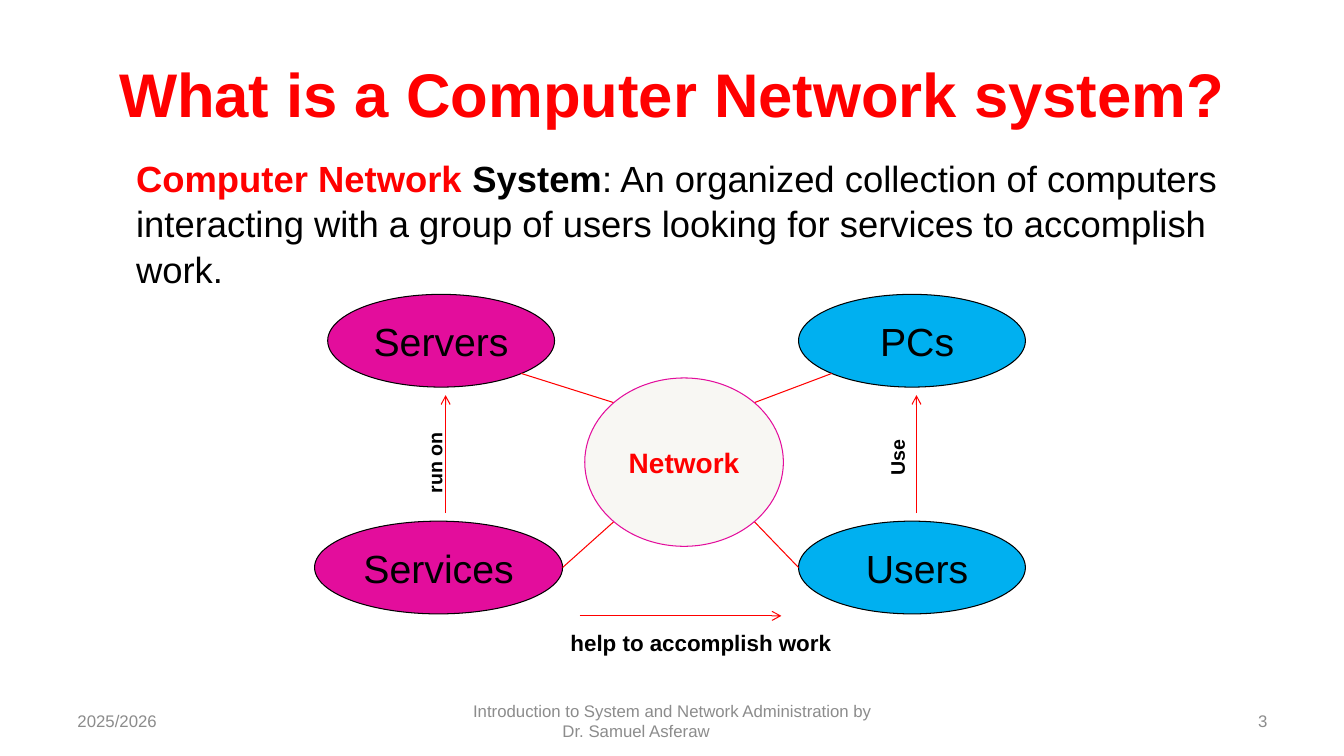
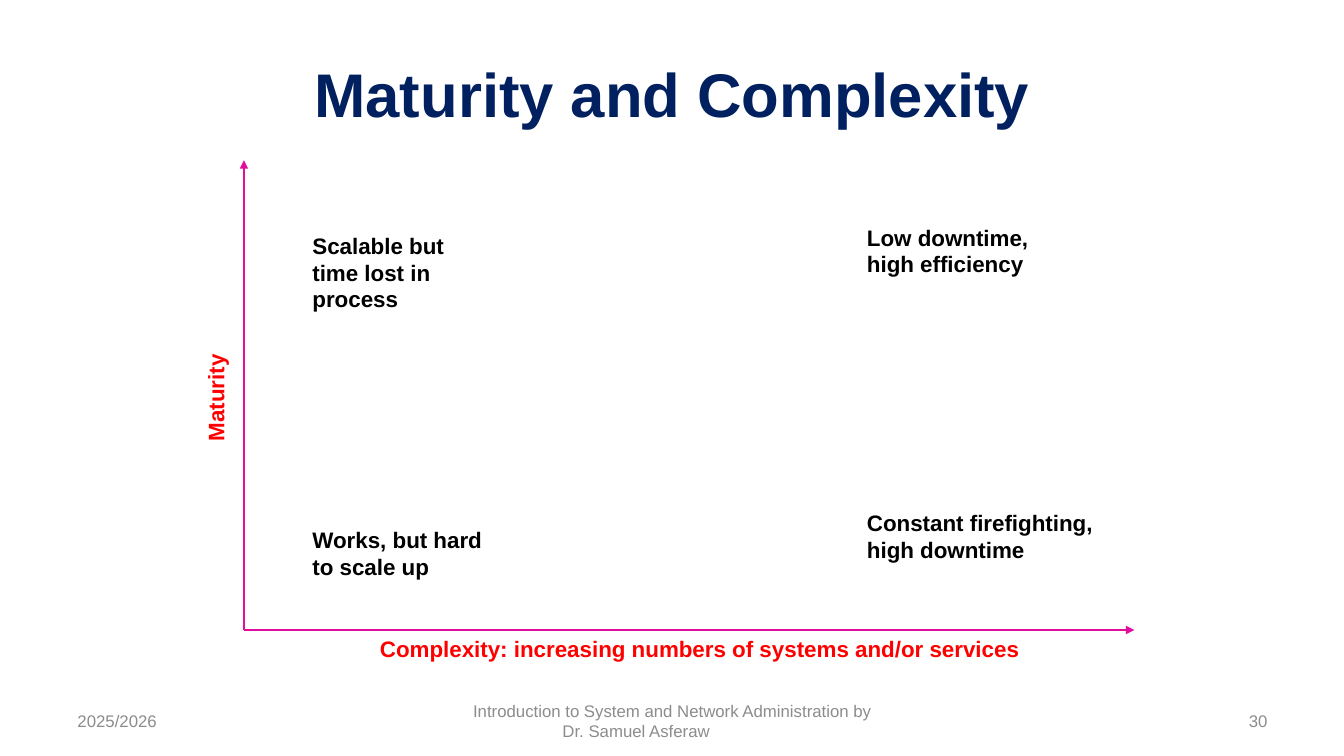
from collections import namedtuple
from dataclasses import dataclass
from math import cos, radians, sin

from lxml import etree
from pptx import Presentation
from pptx import util as u
from pptx.dml.color import RGBColor
from pptx.enum import shapes, text
from pptx.oxml.ns import qn

Box = namedtuple("Box", "x y w h")
Align = text.PP_ALIGN
Mid = text.MSO_ANCHOR.MIDDLE
SCALE = 9144  # EMU per px, 100 px to the inch


@dataclass(frozen=True)
class Theme:
    font: str = "Arial"
    ink: str = "000000"
    red: str = "FF0000"
    navy: str = "002060"
    pink: str = "E30D9C"
    blue: str = "00B0F0"
    pale: str = "F8F7F3"
    gray: str = "8C8C8C"
    title: int = 44
    node: int = 28
    body: int = 26
    hub: int = 20
    label: int = 16
    side: int = 14
    foot: int = 12


T = Theme()
PAGE = Box(0, 0, 1333, 750)


def px(n):
    return u.Emu(round(n * SCALE))


def color(code):
    return RGBColor.from_string(code)


def inside(box, x, y, w, h):
    """Turn a place within box into a place on the slide."""
    return Box(box.x + x, box.y + y, w, h)


def style(run, size, hue, bold=False):
    font = run.font
    font.name, font.size, font.bold = T.font, u.Pt(size), bold
    font.color.rgb = color(hue)


def write(frame, words, size, hue, bold=False, align=Align.LEFT):
    frame.text = words
    for para in frame.paragraphs:
        para.alignment = align
        for run in para.runs:
            style(run, size, hue, bold)


def add_text(slide, box, words, size, hue, bold=False, align=Align.LEFT,
             anchor=text.MSO_ANCHOR.TOP):
    shape = slide.shapes.add_textbox(*map(px, box))
    frame = shape.text_frame
    frame.word_wrap, frame.vertical_anchor = True, anchor
    write(frame, words, size, hue, bold, align)
    return shape


def add_label(slide, box, words, size=T.label, hue=T.ink, wrap=False, turn=0):
    shape = add_text(slide, box, words, size, hue, True)
    shape.text_frame.word_wrap = wrap
    shape.text_frame.auto_size = text.MSO_AUTO_SIZE.SHAPE_TO_FIT_TEXT
    shape.rotation = turn


def add_oval(slide, box, words, fill, line=T.ink, size=T.node, hue=T.ink,
             bold=False, lead=10):
    shape = slide.shapes.add_shape(shapes.MSO_SHAPE.OVAL, *map(px, box))
    shape.shadow.inherit = False
    shape.fill.solid()
    shape.fill.fore_color.rgb = color(fill)
    shape.line.color.rgb = color(line)
    shape.line.width = u.Pt(0.75)
    frame = shape.text_frame
    frame.margin_left = px(lead)
    frame.vertical_anchor = Mid
    write(frame, words, size, hue, bold, Align.CENTER)


def add_line(slide, start, end, hue, width=0.75, head=None):
    line = slide.shapes.add_connector(
        shapes.MSO_CONNECTOR.STRAIGHT, *map(px, (*start, *end)))
    line.line.color.rgb = color(hue)
    line.line.width = u.Pt(width)
    props = line._element.spPr
    if head:
        etree.SubElement(props.get_or_add_ln(), qn("a:tailEnd"), type=head)
    etree.SubElement(props, qn("a:effectLst"))


def rim(box, angle):
    """Point on the oval in box, clockwise from the right."""
    turn = radians(angle)
    return (box.x + box.w / 2 * (1 + cos(turn)),
            box.y + box.h / 2 * (1 + sin(turn)))


def add_foot(slide, box, number):
    add_text(slide, inside(box, 0, 0, 311, 40), "2025/2026", T.foot, T.gray,
             anchor=Mid)
    add_text(slide, inside(box, 889, 0, 311, 40), number, T.foot, T.gray,
             align=Align.RIGHT, anchor=Mid)
    course = add_text(
        slide, inside(box, 389, 0, 422, 40),
        "Introduction to System and Network Administration by\n"
        "Dr. Samuel Asferaw", T.foot, T.gray, align=Align.CENTER, anchor=Mid)
    author = course.text_frame.paragraphs[1]
    author.alignment = Align.LEFT
    author._p.get_or_add_pPr().set("marL", str(px(92)))


def add_page(deck, title, hue, number):
    slide = deck.slides.add_slide(deck.slide_layouts[6])
    add_text(slide, inside(PAGE, 67, 30, 1200, 125), title, T.title, hue, True,
             Align.CENTER, Mid)
    add_foot(slide, inside(PAGE, 67, 695, 1200, 40), number)
    return slide


def add_intro(slide, box):
    shape = slide.shapes.add_textbox(*map(px, box))
    frame = shape.text_frame
    frame.word_wrap = True
    frame.margin_left = px(48)
    para = frame.paragraphs[0]
    para.line_spacing = 1.04
    for words, hue, bold in (
            ("Computer Network ", T.red, True),
            ("System", T.ink, True),
            (": An organized collection of computers interacting with a group "
             "of users looking for services to accomplish work.",
             T.ink, False)):
        run = para.add_run()
        run.text = words
        style(run, T.body, hue, bold)


def add_map(slide, box):
    """Draw the network hub, its four nodes and their relations."""
    hub = inside(box, 268, 83, 197, 167)
    nodes = (
        ("Servers", (13, 0, 225, 92), T.pink, 10, 45, 225),
        ("Services", (0, 225, 246, 92), T.pink, 10, 0, 135),
        ("PCs", (480, 0, 225, 92), T.blue, 20, 135, 315),
        ("Users", (480, 225, 225, 92), T.blue, 20, 180, 45),
    )
    for words, place, fill, lead, out, into in nodes:
        node = inside(box, *place)
        add_oval(slide, node, words, fill, lead=lead)
        add_line(slide, rim(node, out), rim(hub, into), T.red)
    add_oval(slide, hub, "Network", T.pale, T.pink, T.hub, T.red, True)

    for x, y, end_x, end_y in ((130, 217, 130, 100), (597, 217, 597, 100),
                               (263, 319, 463, 319)):
        add_line(slide, (box.x + x, box.y + y), (box.x + end_x, box.y + end_y),
                 T.red, head="arrow")
    for words, place, size, turn in (
            ("run on", (79, 150, 81, 34), T.side, 270),
            ("Use", (547, 142, 62, 34), T.side, 270),
            ("help to accomplish work", (244, 327, 282, 37), T.label, 0)):
        add_label(slide, inside(box, *place), words, size, turn=turn)


def add_plot(slide, box):
    """Draw the two axes and the text of each quadrant."""
    base = box.y + box.h
    for end in ((box.x, box.y), (box.x + box.w, base)):
        add_line(slide, (box.x, base), end, T.pink, 1, "triangle")
    for words, place, turn in (
            ("Maturity", (-82, 216, 108, 37), 270),
            ("Complexity: increasing numbers of systems and/or services",
             (125, box.h, 663, 37), 0)):
        add_label(slide, inside(box, *place), words, hue=T.red, turn=turn)
    for words, place in (
            ("Scalable but time lost in process", (58, 66, 192, 91)),
            ("Low downtime, high efficiency", (608, 58, 208, 64)),
            ("Works, but hard\nto scale up", (58, 358, 192, 64)),
            ("Constant firefighting, high downtime", (608, 341, 258, 64))):
        add_label(slide, inside(box, *place), words, wrap=True)


def main():
    deck = Presentation()
    deck.slide_width, deck.slide_height = px(PAGE.w), px(PAGE.h)

    slide = add_page(deck, "What is a Computer Network system?", T.red, "3")
    add_intro(slide, Box(87, 148, 1160, 117))
    add_map(slide, Box(312, 292, 705, 364))

    slide = add_page(deck, "Maturity and Complexity", T.navy, "30")
    add_plot(slide, Box(242, 159, 883, 466))

    deck.save("out.pptx")


if __name__ == "__main__":
    main()
